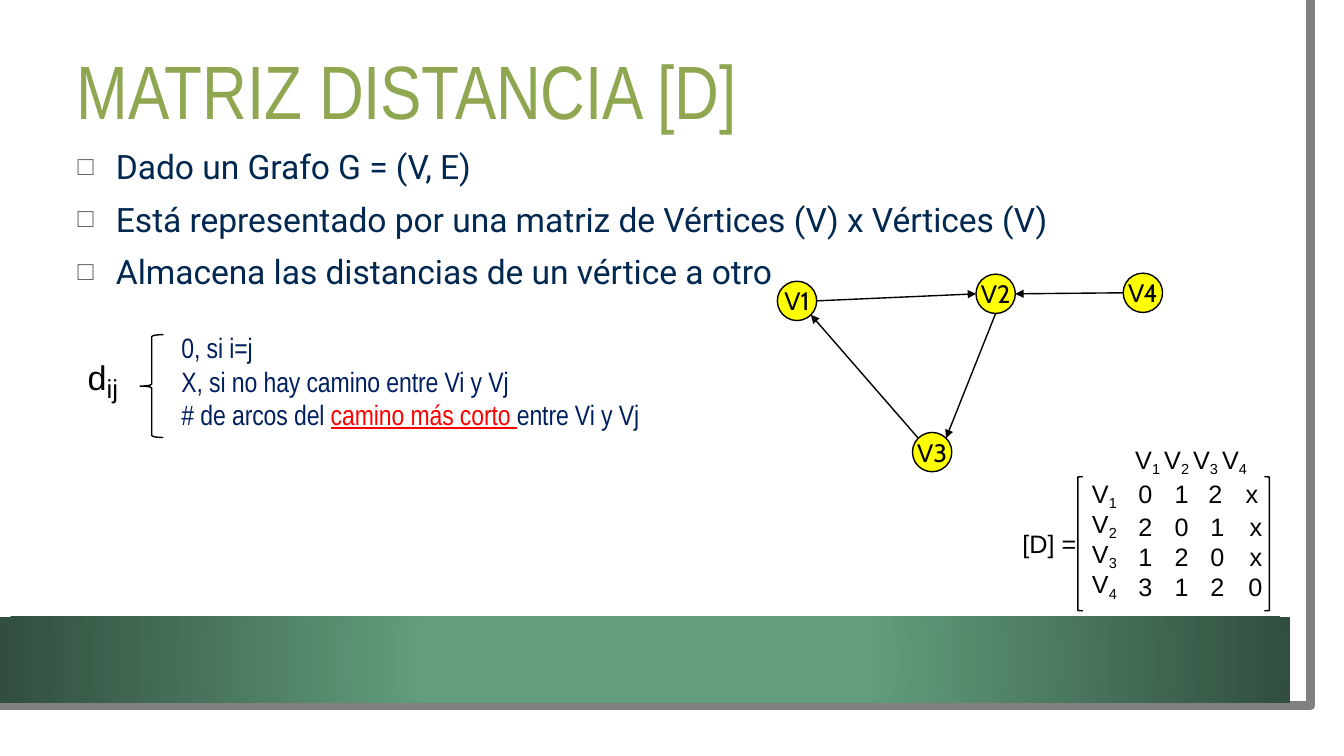
import math

from pptx import Presentation
from pptx import util as u
from pptx.dml.color import RGBColor
from pptx.enum import shapes, text
from pptx.oxml import parse_xml
from pptx.oxml.ns import nsdecls, qn

In, Pt = u.Inches, u.Pt
Kind, Align, Anchor = shapes.MSO_SHAPE, text.PP_ALIGN, text.MSO_ANCHOR


class Theme:
    black, white, gray = "000000", "FFFFFF", "808080"
    green, dark, leaf = "629D7D", "314E3E", "8FA751"
    navy, blue, red = "002850", "001F5F", "FF0000"
    yellow, bullet = "FFFF00", "696363"
    big, base, mid, small = 54, 24, 20, 18
    narrow, plain, body, node = "Arial Narrow", "Arial", "Roboto", "Cabin"


def rgb(code):
    return RGBColor.from_string(code)


def place(item, x, y, w, h):
    item.left, item.top, item.width, item.height = In(x), In(y), In(w), In(h)


def mark(par):
    """Give a paragraph a hanging square bullet."""
    props = par._p.get_or_add_pPr()
    props.set("marL", str(In(0.39)))
    props.set("indent", str(-In(0.38)))
    for body in (f'buClr {nsdecls("a")}><a:srgbClr val="{Theme.bullet}"/></a:buClr>',
                 f'buSzPct {nsdecls("a")} val="79000"/>',
                 f'buChar {nsdecls("a")} char="□"/>'):
        props.append(parse_xml("<a:" + body))


def write(frame, lines, size=Theme.small, font=Theme.plain, color=Theme.black,
          align=Align.LEFT, anchor=Anchor.TOP, gap=0, lead=None, track=0,
          bullet=False, wrap=True, first=0):
    """Each line is a string or a list of (text, run options)."""
    frame.word_wrap = wrap
    frame.auto_size = text.MSO_AUTO_SIZE.NONE
    frame.vertical_anchor = anchor
    frame.margin_left = frame.margin_right = 0
    frame.margin_top = frame.margin_bottom = 0
    for i, line in enumerate(lines):
        par = frame.paragraphs[0] if i == 0 else frame.add_paragraph()
        if bullet:
            mark(par)
        par.alignment = align
        par.space_before = Pt(gap if i else first)
        if lead:
            par.line_spacing = Pt(lead)
        for words, opts in [(line, {})] if isinstance(line, str) else line:
            run = par.add_run()
            run.text = words
            run.font.size = Pt(opts.get("size", size))
            run.font.name = font
            run.font.color.rgb = rgb(opts.get("color", color))
            if opts.get("under"):
                run.font.underline = True
            props = run._r.get_or_add_rPr()
            props.set("spc", str(track))
            if "shift" in opts:
                props.set("baseline", str(opts["shift"] * 1000))


def label(slide, box, lines, **fmt):
    item = slide.shapes.add_textbox(*map(In, box))
    write(item.text_frame, lines, **fmt)


def shape(slide, kind, box, fill=None, line=None):
    item = slide.shapes.add_shape(kind, *map(In, box))
    item.shadow.inherit = False
    if fill:
        item.fill.solid()
        item.fill.fore_color.rgb = rgb(fill)
    else:
        item.fill.background()
    if line:
        item.line.color.rgb = rgb(line)
        item.line.width = Pt(1)
    else:
        item.line.fill.background()
    return item


def sub(num):
    """Runs for a vertex name with its index lowered."""
    return [("V", {}), (str(num), {"shift": -21})]


# Page edge and green band
def decor(slide, box):
    x, y, w, h = box
    path = slide.shapes.build_freeform(x + w - 0.03, y, scale=In(1))
    path.add_line_segments([(x + w, y + h), (x - 0.03, y + h - 0.01)], close=False)
    edge = path.convert_to_shape()
    edge.shadow.inherit = False
    edge.fill.background()
    edge.line.color.rgb = rgb(Theme.gray)
    edge.line.width = Pt(6.5)

    band = shape(slide, Kind.RECTANGLE, (x, y + h - 0.9, w - 0.05, 0.85))
    band.fill.gradient()
    for stop, spot, color in zip(band.fill.gradient_stops, (0.34, 1), (Theme.green, Theme.dark)):
        stop.position = spot
        stop.color.rgb = rgb(color)
    grad = band._element.spPr.find(qn("a:gradFill"))
    grad.replace(grad.find(qn("a:lin")), parse_xml(
        f'<a:path {nsdecls("a")} path="circle">'
        '<a:fillToRect l="50000" t="50000" r="50000" b="50000"/></a:path>'))


# Title and bullet list
def intro(slide, box):
    x, y, w, h = box
    head, body = slide.shapes.title, slide.placeholders[1]
    place(head, x, y, w, 1.26)
    write(head.text_frame, ["MATRIZ DISTANCIA [D]"], size=Theme.big, font=Theme.narrow,
          color=Theme.leaf, anchor=Anchor.MIDDLE, track=-10)
    place(body, x, y + 1.19, w - 1.04, h - 1.19)
    write(body.text_frame, ["Dado un Grafo G = (V, E)",
                            "Está representado por una matriz de Vértices (V) x Vértices (V)",
                            "Almacena las distancias de un vértice a otro"],
          size=Theme.base, font=Theme.body, color=Theme.navy, gap=8.6, track=-5, bullet=True)


# Distance rule by cases
def cases(slide, box):
    x, y, w, h = box
    label(slide, (x, y + 0.33, 0.4, 0.46),
          [[("d", {"size": 42, "shift": 14}), ("ij", {"size": 18.5})]], lead=33, wrap=False)
    shape(slide, Kind.LEFT_BRACE, (x + 0.52, y + 0.04, 0.23, h), line=Theme.black)
    label(slide, (x + 0.93, y, w - 0.93, h),
          ["0, si i=j", "X, si no hay camino entre Vi y Vj",
           [("# de arcos del ", {}), ("camino más corto ", {"color": Theme.red, "under": True}),
            ("entre Vi y Vj", {})]],
          size=Theme.mid, font=Theme.narrow, color=Theme.blue, track=-8)


# Directed graph
def graph(slide, box):
    x, y, _, _ = box
    side = 0.39
    spots = {"V1": (0, 0.08), "V2": (1.97, 0.01), "V3": (1.34, 1.58), "V4": (3.43, 0)}
    for name, (dx, dy) in spots.items():
        node = shape(slide, Kind.OVAL, (x + dx, y + dy, side, side), Theme.yellow, Theme.black)
        write(node.text_frame, [name], font=Theme.node, align=Align.CENTER,
              anchor=Anchor.MIDDLE, track=10, wrap=False)

    def rim(name, turn):
        dx, dy = spots[name]
        angle = math.radians(turn)
        return (In(x + dx + side / 2 * (1 + math.cos(angle))),
                In(y + dy + side / 2 * (1 - math.sin(angle))))

    # Degrees run counterclockwise from the right
    for tail, out, head, into in (("V1", 0, "V2", 180), ("V4", 180, "V2", 0),
                                  ("V2", 270, "V3", 45), ("V3", 135, "V1", 315)):
        arc = slide.shapes.add_connector(shapes.MSO_CONNECTOR.STRAIGHT,
                                         *rim(tail, out), *rim(head, into))
        arc.line.color.rgb = rgb(Theme.black)
        arc.line.width = Pt(1)
        props = arc._element.spPr
        props.find(qn("a:ln")).append(parse_xml(f'<a:tailEnd {nsdecls("a")} type="triangle"/>'))
        props.append(parse_xml(f'<a:effectLst {nsdecls("a")}/>'))


# Distance matrix
def matrix(slide, box):
    x, y, w, _ = box
    rows = ["012x", "201x", "120x", "3120"]
    wide, tall = (0.4, 0.33, 0.36, 0.35, 0.28), (0.38, 0.3, 0.3, 0.35)
    pads = (0.03, 0.09, 0.12, 0.02, 0)
    sides = (Align.LEFT,) * 3 + (Align.CENTER, Align.RIGHT)
    grid = slide.shapes.add_table(4, 5, In(x + 0.66), In(y + 0.32), In(sum(wide)), In(sum(tall))).table
    grid.first_row = grid.horz_banding = False
    for col, size in zip(grid.columns, wide):
        col.width = In(size)
    for i, (row, size) in enumerate(zip(grid.rows, tall)):
        row.height = In(size)
        for j, cell in enumerate(row.cells):
            cell.fill.background()
            write(cell.text_frame, [sub(i + 1) if j == 0 else rows[i][j - 1]],
                  align=sides[j], lead=19.1 if i else None)
            cell.margin_left, cell.margin_right = In(pads[j]), In(0 if i else 0.04)
            cell.margin_top, cell.margin_bottom = In(0 if i else 0.04), 0
    for kind, dx in ((Kind.LEFT_BRACKET, 0.55), (Kind.RIGHT_BRACKET, w - 0.05)):
        shape(slide, kind, (x + dx, y + 0.32, 0.05, sum(tall)), line=Theme.black)
    label(slide, (x, y + 0.83, 0.55, 0.3), ["[D] ="], wrap=False)
    heads = []
    for num in range(1, 5):
        name, (low, opts) = sub(num)
        heads += [name, (low + (" " if num < 4 else ""), opts)]
    label(slide, (x + 1.12, y, 1.3, 0.3), [heads], track=-5, wrap=False)


def main():
    deck = Presentation()
    deck.slide_width, deck.slide_height = In(13.33), In(7.5)
    slide = deck.slides.add_slide(deck.slide_layouts[1])
    slide.background.fill.solid()
    slide.background.fill.fore_color.rgb = rgb(Theme.white)
    decor(slide, (0, 0, 12.85, 7.02))
    intro(slide, (0.76, 0.26, 11.37, 2.65))
    cases(slide, (0.87, 3.28, 5.5, 1.02))
    graph(slide, (7.71, 2.71, 3.82, 1.97))
    matrix(slide, (10.14, 4.41, 2.45, 1.65))
    deck.save("out.pptx")


if __name__ == "__main__":
    main()
